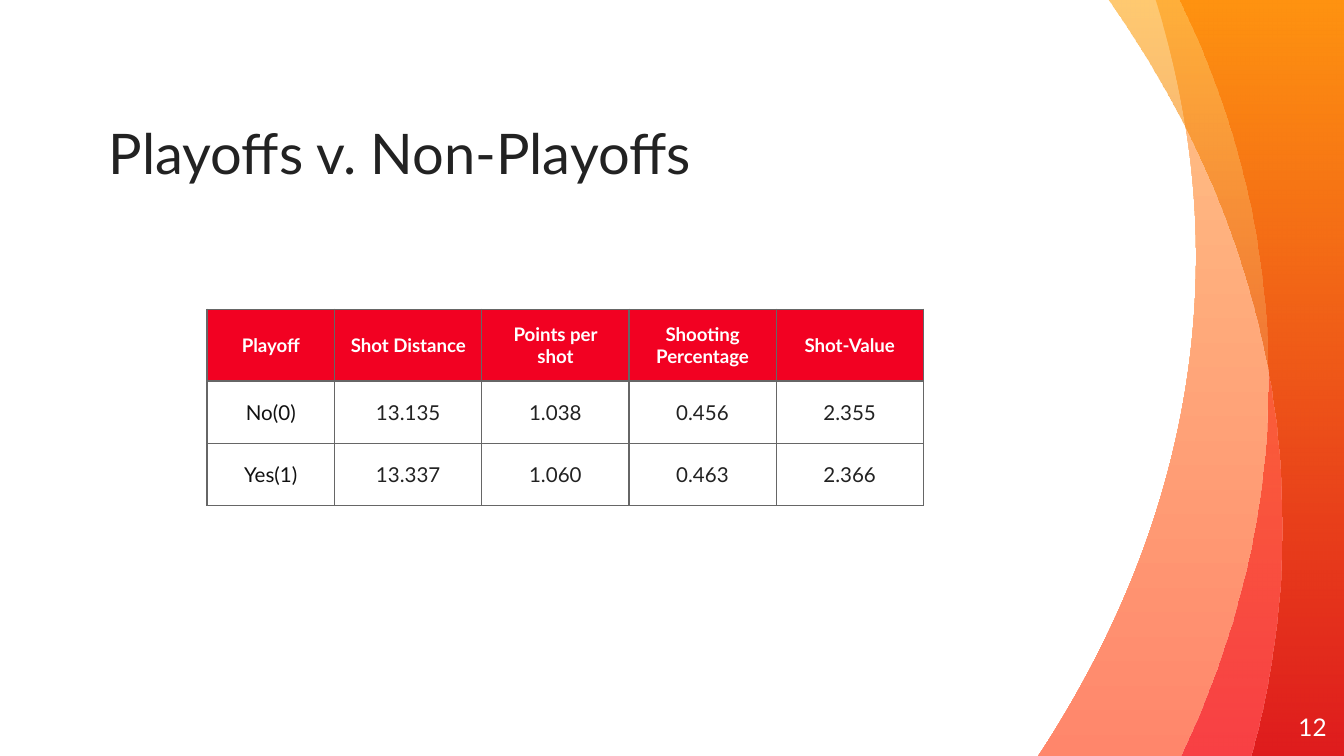
import pptx
import pptx.util
import pptx.dml.color
import pptx.enum.text
import pptx.oxml
import pptx.oxml.ns

hues = {
    "ink": "222222", "dark": "111111", "white": "FFFFFF", "red": "F20122",
    "edge": "666666", "peach": "FFC486", "coral": "FF866B",
    "flame": "FF6A00", "amber": "FF9F00", "brick": "CC0000",
}
inch = pptx.util.Inches
align = pptx.enum.text.PP_ALIGN
anchor = pptx.enum.text.MSO_ANCHOR
qn = pptx.oxml.ns.qn
space = pptx.oxml.ns.nsdecls("a")


def rgb(name):
    return pptx.dml.color.RGBColor.from_string(hues[name])


def write(frame, text, size, hue, side, bold=False):
    frame.word_wrap = True
    line = frame.paragraphs[0]
    line.text = text
    line.alignment = side
    line.font.name = "Lato"
    line.font.size = pptx.util.Pt(size)
    line.font.bold = bold
    line.font.color.rgb = rgb(hue)


wide = 10
high = wide * 9 / 16
deck = pptx.Presentation()
deck.slide_width, deck.slide_height = inch(wide), inch(high)
slide = deck.slides.add_slide(deck.slide_layouts[6])

edge, base = 10.01, 5.65
waves = [
    ([(7.71, base), (8.47, 4.5), (8.9, 3.24), (8.9, 1.91),
      (8.9, 1.25), (8.79, 0.61), (8.6, 0)],
     270, [("peach", 100), ("coral", 100)]),
    ([(8.78, base), (9.2, 4.76), (9.44, 3.81), (9.44, 2.82),
      (9.44, 1.84), (9.21, 0.89), (8.78, 0)],
     90, [("red", 52), ("flame", 72)]),
    ([(9.3, base), (9.46, 5.08), (9.54, 4.5), (9.54, 3.91),
      (9.54, 2.51), (9.08, 1.19), (8.25, 0)],
     270, [("amber", 56), ("brick", 57)]),
]
for knots, angle, stops in waves:
    spots = [(inch(x), inch(y)) for x, y in knots + [(edge, 0), (edge, base)]]
    form = slide.shapes.build_freeform(*spots[0])
    form.add_line_segments(spots[1:])
    wave = form.convert_to_shape()
    wave.shadow.inherit = False
    wave.line.fill.background()
    wave.fill.gradient()
    wave.fill.gradient_angle = angle
    lines = list(wave.element.iter(qn("a:lnTo")))
    for first in (0, 3):
        bend = pptx.oxml.parse_xml(f"<a:cubicBezTo {space}/>")
        lines[first].addprevious(bend)
        for line in lines[first:first + 3]:
            bend.append(line[0])
            line.getparent().remove(line)
    for stop, (hue, _) in zip(wave.fill.gradient_stops, stops):
        stop.color.rgb = rgb(hue)
    grad = wave.element.find(".//" + qn("a:gradFill"))
    for tint, (_, solid) in zip(grad.iter(qn("a:srgbClr")), stops):
        if solid < 100:
            tint.append(pptx.oxml.parse_xml(
                f'<a:alpha {space} val="{solid * 1000}"/>'))

labels = [
    ((0.81, 0.57, 6.6, 0.81), "Playoffs v. Non-Playoffs", 30, "ink",
     align.LEFT, anchor.BOTTOM),
    ((9.27, 5.19, 0.6, 0.43), "12", 13, "white", align.RIGHT, anchor.MIDDLE),
]
for place, text, size, hue, side, hold in labels:
    frame = slide.shapes.add_textbox(*map(inch, place)).text_frame
    frame.margin_left = frame.margin_right = 0
    frame.margin_top = frame.margin_bottom = 0
    frame.vertical_anchor = hold
    write(frame, text, size, hue, side)

data = [
    ["Playoff", "Shot Distance", "Points per shot", "Shooting Percentage", "Shot-Value"],
    ["No(0)", "13.135", "1.038", "0.456", "2.355"],
    ["Yes(1)", "13.337", "1.060", "0.463", "2.366"],
]
cols = [0.95] + [4.38 / 4] * 4
rows = [0.37] + [0.93 / 2] * 2
grid = slide.shapes.add_table(
    len(rows), len(cols), inch(1.54), inch(2.3), inch(sum(cols)), inch(sum(rows)))
table = grid.table
table.horz_banding = False
for col, width in zip(table.columns, cols):
    col.width = inch(width)
for row, tall in zip(table.rows, rows):
    row.height = inch(tall)
for r, line in enumerate(data):
    for c, text in enumerate(line):
        cell = table.cell(r, c)
        cell.margin_left = cell.margin_right = inch(0.1)
        cell.margin_top = cell.margin_bottom = inch(0.1)
        cell.vertical_anchor = anchor.MIDDLE
        if r == 0:
            cell.fill.solid()
            cell.fill.fore_color.rgb = rgb("red")
            write(cell.text_frame, text, 10, "white", align.CENTER, True)
        else:
            cell.fill.background()
            write(cell.text_frame, text, 11, "ink" if c else "dark", align.CENTER)
for props in grid.element.iter(qn("a:tcPr")):
    for spot, side in enumerate("LRTB"):
        props.insert(spot, pptx.oxml.parse_xml(
            f'<a:ln{side} {space} w="{pptx.util.Pt(0.75)}">'
            f'<a:solidFill><a:srgbClr val="{hues["edge"]}"/></a:solidFill>'
            f'</a:ln{side}>'))

deck.save("out.pptx")
